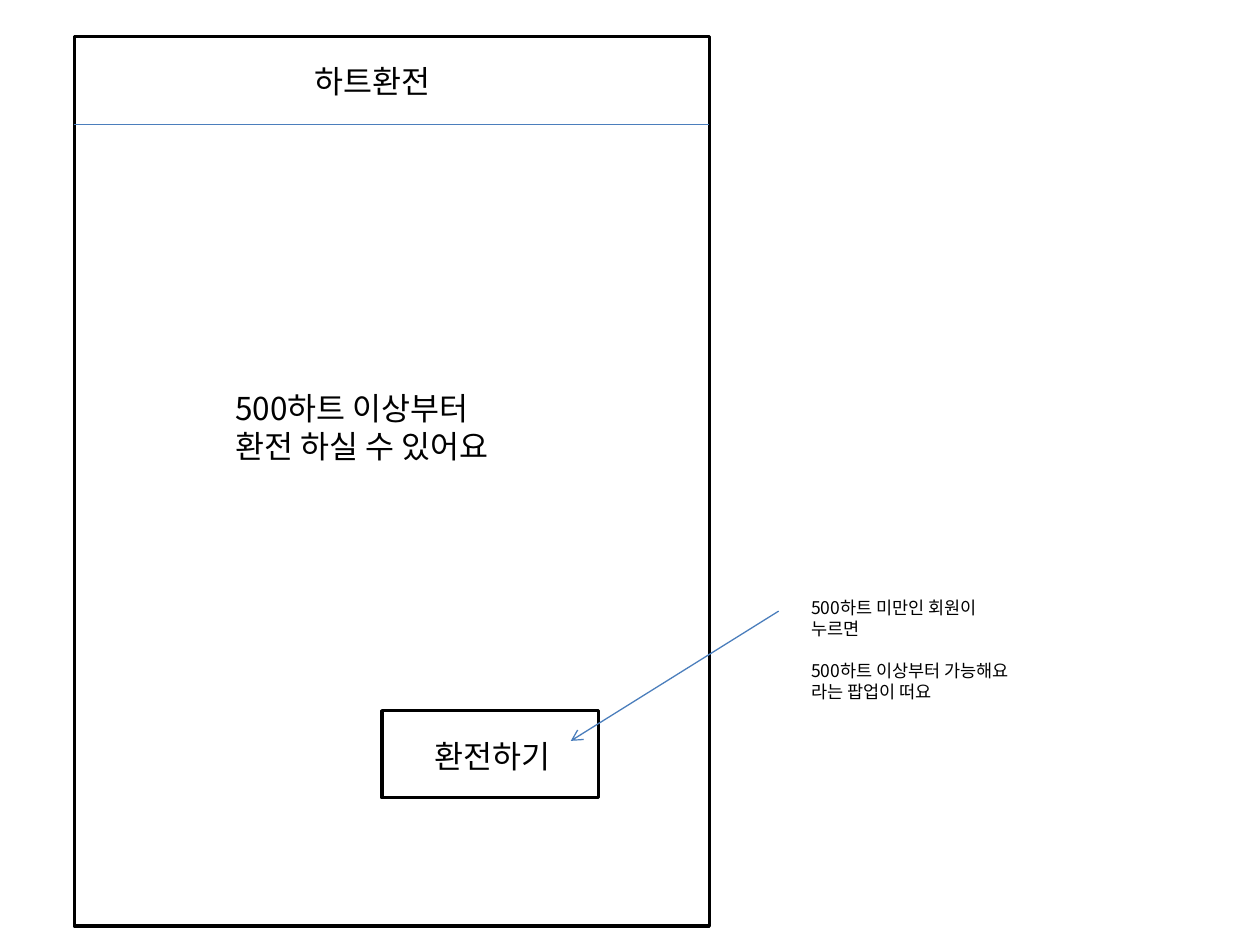
import pptx
import pptx.dml.color
import pptx.enum.shapes
import pptx.enum.text
import pptx.oxml.ns
import pptx.util
from lxml import etree

Inches = pptx.util.Inches
Pt = pptx.util.Pt
qn = pptx.oxml.ns.qn

FONT = "Noto Sans CJK KR"
COLORS = {"ink": "000000", "line": "4B7EBC"}


def color(name):
    return pptx.dml.color.RGBColor.from_string(COLORS[name])


def add_frame(slide, left, top, width, height):
    kind = pptx.enum.shapes.MSO_SHAPE.RECTANGLE
    frame = slide.shapes.add_shape(
        kind, Inches(left), Inches(top), Inches(width), Inches(height))
    frame.shadow.inherit = False
    frame.fill.background()
    frame.line.color.rgb = color("ink")
    frame.line.width = Pt(2)


def add_line(slide, start, end, arrow=False):
    kind = pptx.enum.shapes.MSO_CONNECTOR.STRAIGHT
    line = slide.shapes.add_connector(
        kind, *(Inches(value) for value in (*start, *end)))
    line.line.color.rgb = color("line")
    line.line.width = Pt(0.75)
    if arrow:
        etree.SubElement(line.line._get_or_add_ln(), qn("a:tailEnd"), type="arrow")
    etree.SubElement(line._element.spPr, qn("a:effectLst"))


def add_text(slide, left, top, width, height, groups, size=18):
    box = slide.shapes.add_textbox(
        Inches(left), Inches(top), Inches(width), Inches(height))
    frame = box.text_frame
    frame.word_wrap = False
    frame.auto_size = pptx.enum.text.MSO_AUTO_SIZE.SHAPE_TO_FIT_TEXT
    para = None
    for group in groups:
        for index, text in enumerate(group):
            first = para is None
            para = frame.paragraphs[0] if first else frame.add_paragraph()
            if index == 0 and not first:
                para.space_before = Pt(size * 1.2)
            run = para.add_run()
            run.text = text
            run.font.size = Pt(size)
            run.font.name = FONT
            run.font.color.rgb = color("ink")
            etree.SubElement(run.font._element, qn("a:ea"), typeface=FONT)


def main():
    deck = pptx.Presentation()
    deck.slide_width = Inches(10)
    deck.slide_height = Inches(7.5)
    slide = deck.slides.add_slide(deck.slide_layouts[6])

    add_frame(slide, 0.59, 0.29, 5.04, 7.06)
    add_line(slide, (0.59, 0.99), (5.63, 0.99))
    add_text(slide, 2.4, 0.44, 1.21, 0.4, [["하트환전"]])
    add_text(slide, 1.77, 3.04, 2.49, 0.71,
             [["500하트 이상부터", "환전 하실 수 있어요"]])

    add_frame(slide, 3.03, 5.64, 1.72, 0.69)
    add_text(slide, 3.35, 5.8, 1.21, 0.4, [["환전하기"]])

    add_line(slide, (6.18, 4.85), (4.53, 5.88), arrow=True)
    add_text(slide, 6.34, 4.69, 1.93, 0.94,
             [["500하트 미만인 회원이", "누르면"],
              ["500하트 이상부터 가능해요", "라는 팝업이 떠요"]], size=10)

    deck.save("out.pptx")


if __name__ == "__main__":
    main()
